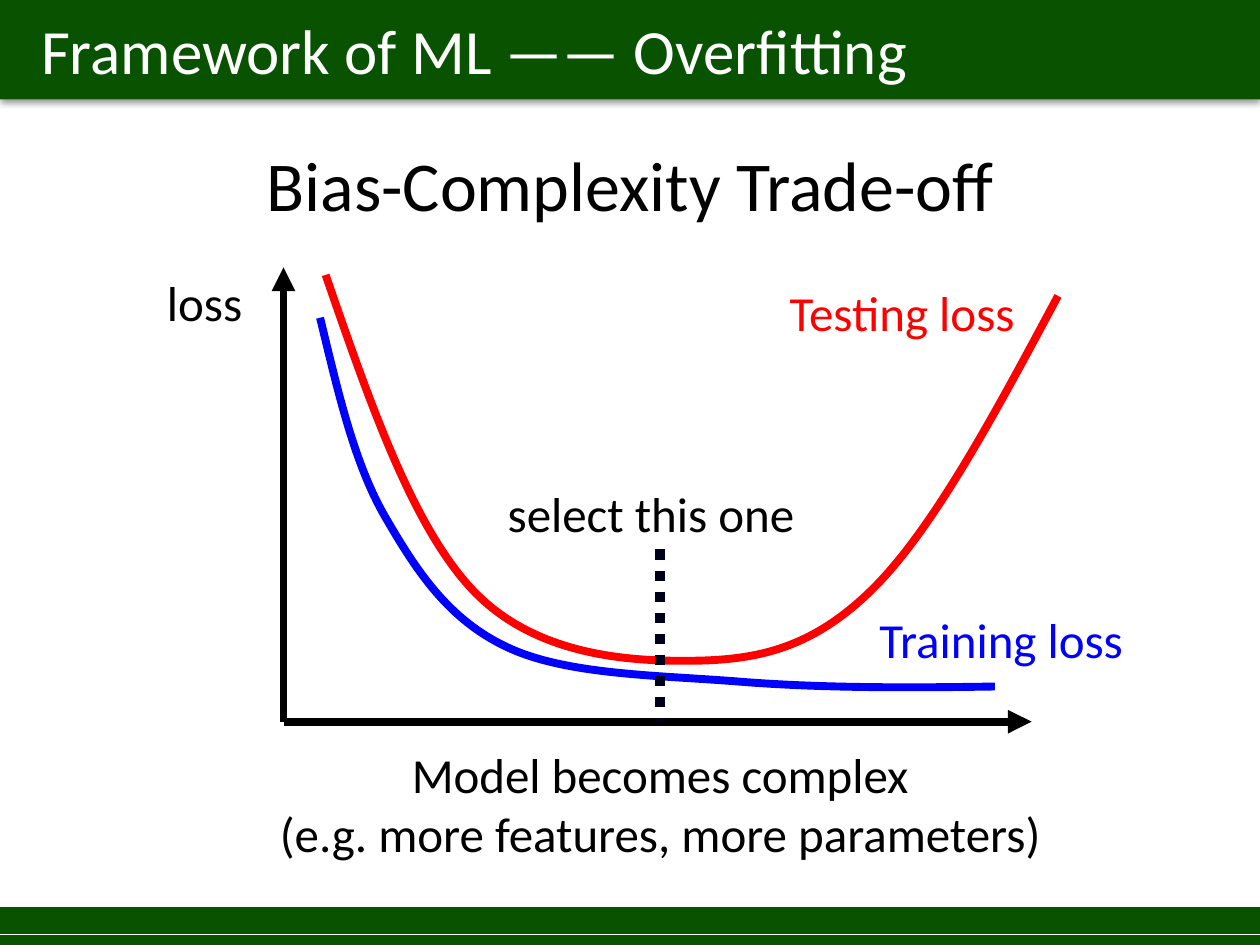
from dataclasses import dataclass

from lxml.etree import SubElement
from pptx import Presentation
from pptx.dml.color import RGBColor
from pptx.enum.dml import MSO_LINE
from pptx.enum.shapes import MSO_CONNECTOR, MSO_SHAPE
from pptx.enum.text import MSO_ANCHOR, PP_ALIGN
from pptx.oxml.ns import qn
from pptx.util import Pt


@dataclass(frozen=True)
class Theme:
    font: str = "Calibri"
    green: str = "095200"
    white: str = "FFFFFF"
    black: str = "000000"
    navy: str = "00001C"
    blue: str = "0000FF"
    red: str = "FF0000"
    header_size: float = 36
    title_size: float = 40
    label_size: float = 28
    rule_width: float = 0.75
    curve_width: float = 4.5
    marker_width: float = 6


THEME = Theme()
WIDTH, HEIGHT = 720, 540
HEADER = "Framework of ML —— Overfitting"
HEADER_BOX = (0, -0.7, WIDTH, 57.6)
HEADER_INSET = 23.5
FOOTER_BOX = (0, 518.4, WIDTH, 21.6)
FOOTER_RULE = (0, 534.2, WIDTH, 534.2)
TITLE = "Bias-Complexity Trade-off"
TITLE_BOX = (49.7, 28.8, 620.6, 104.4)

ORIGIN = (162, 412.4)
AXIS_ENDS = [(589.5, ORIGIN[1]), (ORIGIN[0], 152.8)]
MARKER = (377.2, 314, 377.2, ORIGIN[1])

TRAINING_CURVE = [
    (182.9, 181.6),
    (193, 223), (202.2, 264.5), (220.2, 295.5),
    (238.2, 326.5), (256.3, 354.3), (290.2, 370),
    (324, 385.8), (375.8, 385.8), (422.3, 389.5),
    (468.7, 393.2), (518.4, 393.1), (568.5, 392.3),
]
TESTING_CURVE = [
    (186.1, 157.1),
    (211, 229), (235.4, 300.2), (270, 337),
    (304.6, 373.7), (356.4, 378), (394.6, 377.6),
    (432.7, 377.3), (464.4, 370.8), (499.4, 335.9),
    (534.2, 301), (569.5, 234.7), (604.6, 169.1),
]
CURVES = [(TRAINING_CURVE, THEME.blue), (TESTING_CURVE, THEME.red)]

LABELS = [
    (["loss"], (49.7, 151.9, 95.8, 41.2), PP_ALIGN.RIGHT, THEME.black),
    (["Model becomes complex", "(e.g. more features, more parameters)"],
     (145.4, 421.9, 463.7, 75.1), PP_ALIGN.CENTER, THEME.black),
    (["Training loss"], (495.4, 344.9, 175.7, 41.2), PP_ALIGN.LEFT, THEME.blue),
    (["Testing loss"], (444.2, 157.7, 175.7, 41.2), PP_ALIGN.LEFT, THEME.red),
    (["select this one"], (283, 272.9, 190.8, 41.2), PP_ALIGN.LEFT, THEME.black),
]


def lengths(values):
    return [Pt(value) for value in values]


def color(value):
    return RGBColor.from_string(value)


def write(shape, lines, size, ink, align):
    frame = shape.text_frame
    frame.word_wrap = True
    frame.text = "\n".join(lines)
    for para in frame.paragraphs:
        para.alignment = align
        for span in para.runs:
            span.font.name = THEME.font
            span.font.size = Pt(size)
            span.font.color.rgb = color(ink)
    return frame


def add_text(page, lines, box, size, ink, align):
    return write(page.shapes.add_textbox(*lengths(box)), lines, size, ink, align)


def add_band(page, box):
    band = page.shapes.add_shape(MSO_SHAPE.RECTANGLE, *lengths(box))
    band.shadow.inherit = False
    band.fill.solid()
    band.fill.fore_color.rgb = color(THEME.green)
    band.line.fill.background()
    return band


def add_drop_shadow(shape):
    effects = shape._element.spPr.find(qn("a:effectLst"))
    shadow = SubElement(effects, qn("a:outerShdw"), blurRad=str(Pt(4)), dist=str(Pt(1)),
                        dir="5400000", algn="t", rotWithShape="0")
    tint = SubElement(shadow, qn("a:srgbClr"), val=THEME.black)
    SubElement(tint, qn("a:alpha"), val="40000")


def add_line(page, ends, ink, width, arrow=False):
    line = page.shapes.add_connector(MSO_CONNECTOR.STRAIGHT, *lengths(ends))
    line.line.color.rgb = color(ink)
    line.line.width = Pt(width)
    if arrow:
        SubElement(line.line._get_or_add_ln(), qn("a:tailEnd"), type="triangle")
    SubElement(line._element.spPr, qn("a:effectLst"))
    return line


def add_curve(page, points, ink):
    start, *rest = [lengths(point) for point in points]
    builder = page.shapes.build_freeform(*start)
    builder.add_line_segments(rest, close=False)
    curve = builder.convert_to_shape()
    curve.shadow.inherit = False
    curve.fill.background()
    curve.line.color.rgb = color(ink)
    curve.line.width = Pt(THEME.curve_width)
    outline = next(curve._element.iter(qn("a:path")))
    segments = outline.findall(qn("a:lnTo"))
    for first in range(0, len(segments), 3):
        bezier = SubElement(outline, qn("a:cubicBezTo"))
        for segment in segments[first:first + 3]:
            bezier.append(segment[0])
            outline.remove(segment)


def main():
    deck = Presentation()
    deck.slide_width, deck.slide_height = Pt(WIDTH), Pt(HEIGHT)
    page = deck.slides.add_slide(deck.slide_layouts[6])

    header = add_band(page, HEADER_BOX)
    add_drop_shadow(header)
    frame = write(header, [HEADER], THEME.header_size, THEME.white, PP_ALIGN.LEFT)
    frame.margin_left = Pt(HEADER_INSET)
    frame.vertical_anchor = MSO_ANCHOR.MIDDLE
    add_band(page, FOOTER_BOX)
    add_line(page, FOOTER_RULE, THEME.white, THEME.rule_width)

    frame = add_text(page, [TITLE], TITLE_BOX, THEME.title_size, THEME.black, PP_ALIGN.CENTER)
    frame.vertical_anchor = MSO_ANCHOR.BOTTOM
    frame.paragraphs[0].line_spacing = 0.9

    for end in AXIS_ENDS:
        add_line(page, ORIGIN + end, THEME.black, THEME.curve_width, arrow=True)
    for points, ink in CURVES:
        add_curve(page, points, ink)
    marker = add_line(page, MARKER, THEME.navy, THEME.marker_width)
    marker.line.dash_style = MSO_LINE.ROUND_DOT
    for lines, box, align, ink in LABELS:
        add_text(page, lines, box, THEME.label_size, ink, align)

    deck.save("out.pptx")


if __name__ == "__main__":
    main()
